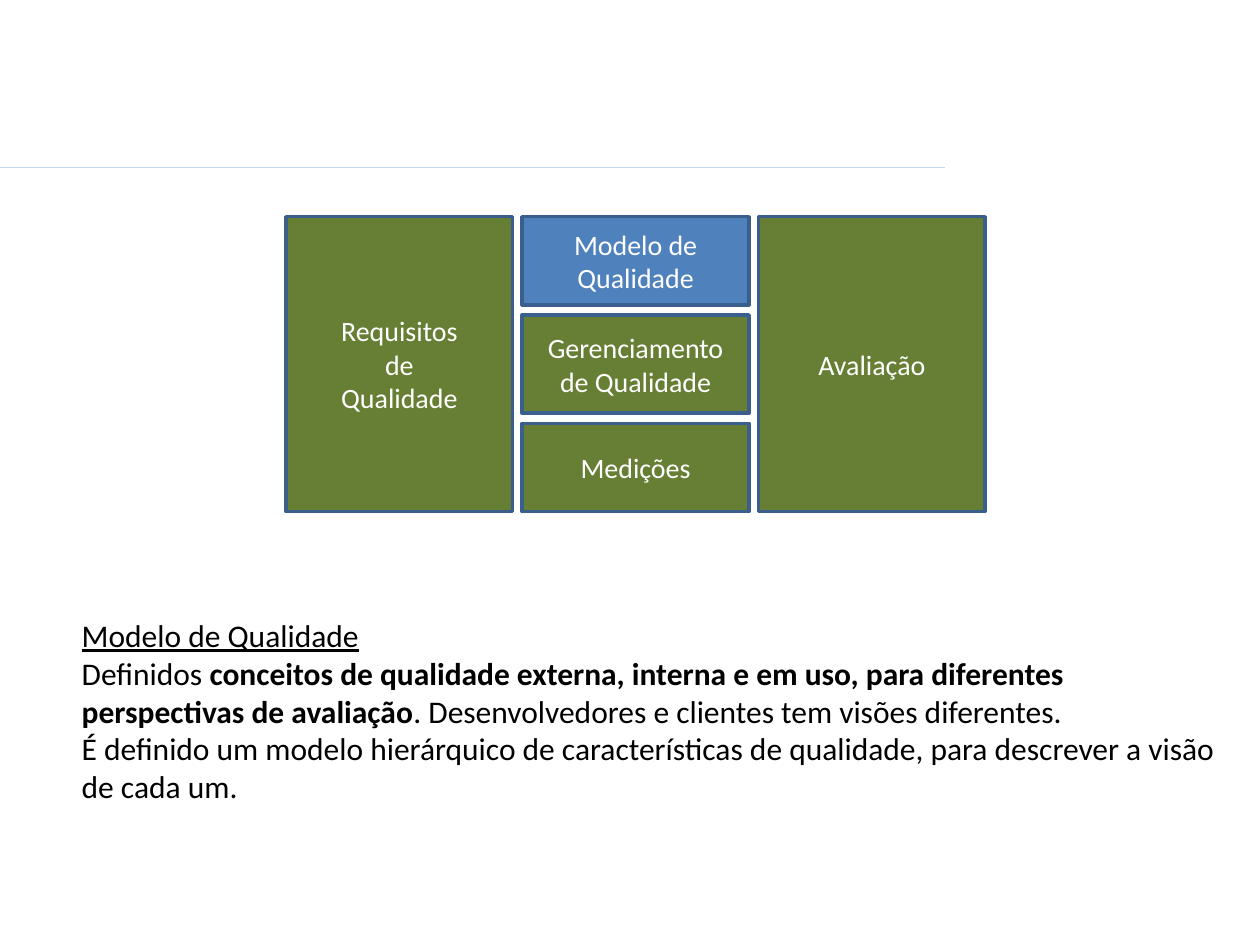
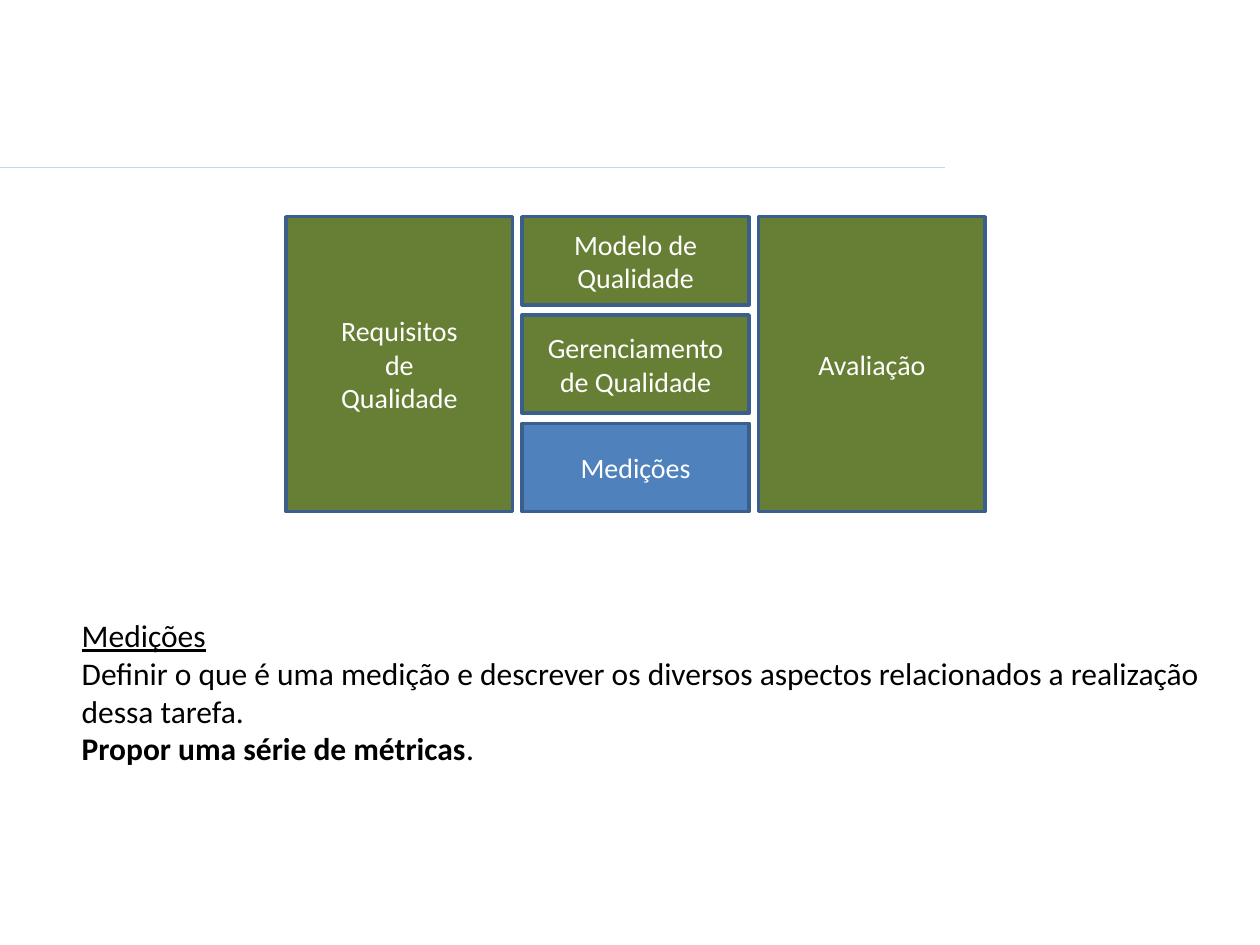
from dataclasses import dataclass

from lxml import etree
from pptx import Presentation
from pptx.dml.color import RGBColor
from pptx.enum.shapes import MSO_CONNECTOR, MSO_SHAPE
from pptx.enum.text import MSO_ANCHOR, MSO_AUTO_SIZE, PP_ALIGN
from pptx.oxml.ns import qn
from pptx.util import Inches, Pt


@dataclass(frozen=True)
class Theme:
    font: str = "Calibri"
    block_fill: RGBColor = RGBColor(0x67, 0x7F, 0x34)
    active_fill: RGBColor = RGBColor(0x4F, 0x81, 0xBD)
    block_border: RGBColor = RGBColor(0x3A, 0x5F, 0x8C)
    rule: RGBColor = RGBColor(0xC4, 0xD6, 0xEB)
    block_text: RGBColor = RGBColor(0xFF, 0xFF, 0xFF)
    body_text: RGBColor = RGBColor(0x00, 0x00, 0x00)
    block_size: int = 16
    body_size: int = 18


# Diagram: three equal columns, each a list of (label paragraphs, height)
LEFT, TOP, WIDTH = 2.27, 1.72, 5.55
COLUMN_WIDTH, ROW_GAP = 1.8, 0.08
COLUMNS = [
    [("Requisitos\nde\nQualidade", 2.34)],
    [("Modelo de Qualidade", 0.7),
     ("Gerenciamento de Qualidade", 0.78),
     ("Medições", 0.7)],
    [("Avaliação", 2.34)],
]
COLUMN_GAP = (WIDTH - len(COLUMNS) * COLUMN_WIDTH) / (len(COLUMNS) - 1)

# Each slide: highlighted block, text height, paragraphs of (text, bold) spans
SLIDES = [
    ("Modelo de Qualidade", 1.6, [
        [("Definidos ", False),
         ("conceitos de qualidade externa, interna e em uso, para diferentes "
          "perspectivas de avaliação", True),
         (". Desenvolvedores e clientes tem visões diferentes.", False)],
        [("É definido um modelo hierárquico de características de qualidade, "
          "para descrever a visão de cada um.", False)],
    ]),
    ("Medições", 1.3, [
        [("Definir o que é uma medição e descrever os diversos aspectos "
          "relacionados a realização dessa tarefa.", False)],
        [("Propor uma série de métricas", True), (".", False)],
    ]),
]


class DeckBuilder:
    def __init__(self, theme):
        self.theme = theme
        self.deck = Presentation()
        self.deck.slide_width = Inches(10)
        self.deck.slide_height = Inches(7.5)
        self.page = None

    def add_page(self):
        self.page = self.deck.slides.add_slide(self.deck.slide_layouts[6])
        self.add_rule()

    def add_rule(self):
        rule = self.page.shapes.add_connector(
            MSO_CONNECTOR.STRAIGHT, Inches(0), Inches(1.33), Inches(7.5), Inches(1.33))
        rule.line.color.rgb = self.theme.rule
        rule.line.width = Pt(0.75)
        etree.SubElement(rule._element.spPr, qn("a:effectLst"))

    def style_font(self, font, size, color):
        font.name = self.theme.font
        font.size = Pt(size)
        font.color.rgb = color

    def add_block(self, label, left, top, height, active):
        theme = self.theme
        box = self.page.shapes.add_shape(
            MSO_SHAPE.RECTANGLE, Inches(left), Inches(top),
            Inches(COLUMN_WIDTH), Inches(height))
        box.shadow.inherit = False
        box.fill.solid()
        box.fill.fore_color.rgb = theme.active_fill if active else theme.block_fill
        box.line.color.rgb = theme.block_border
        box.line.width = Pt(2)
        frame = box.text_frame
        frame.text = label
        frame.word_wrap = True
        frame.vertical_anchor = MSO_ANCHOR.MIDDLE
        for para in frame.paragraphs:
            para.alignment = PP_ALIGN.CENTER
            for span in para.runs:
                self.style_font(span.font, theme.block_size, theme.block_text)

    def add_diagram(self, active_label):
        for index, column in enumerate(COLUMNS):
            left = LEFT + index * (COLUMN_WIDTH + COLUMN_GAP)
            top = TOP
            for label, height in column:
                self.add_block(label, left, top, height, label == active_label)
                top += height + ROW_GAP

    def add_description(self, heading, height, paragraphs):
        theme = self.theme
        box = self.page.shapes.add_textbox(
            Inches(0.55), Inches(4.84), Inches(9.22), Inches(height))
        frame = box.text_frame
        frame.word_wrap = True
        frame.auto_size = MSO_AUTO_SIZE.SHAPE_TO_FIT_TEXT
        frame.text = heading
        title = frame.paragraphs[0].runs[0]
        self.style_font(title.font, theme.body_size, theme.body_text)
        title.font.underline = True
        for spans in paragraphs:
            para = frame.add_paragraph()
            for text, bold in spans:
                span = para.add_run()
                span.text = text
                self.style_font(span.font, theme.body_size, theme.body_text)
                span.font.bold = bold


def main():
    builder = DeckBuilder(Theme())
    for heading, height, paragraphs in SLIDES:
        builder.add_page()
        builder.add_diagram(heading)
        builder.add_description(heading, height, paragraphs)
    builder.deck.save("out.pptx")


if __name__ == "__main__":
    main()
